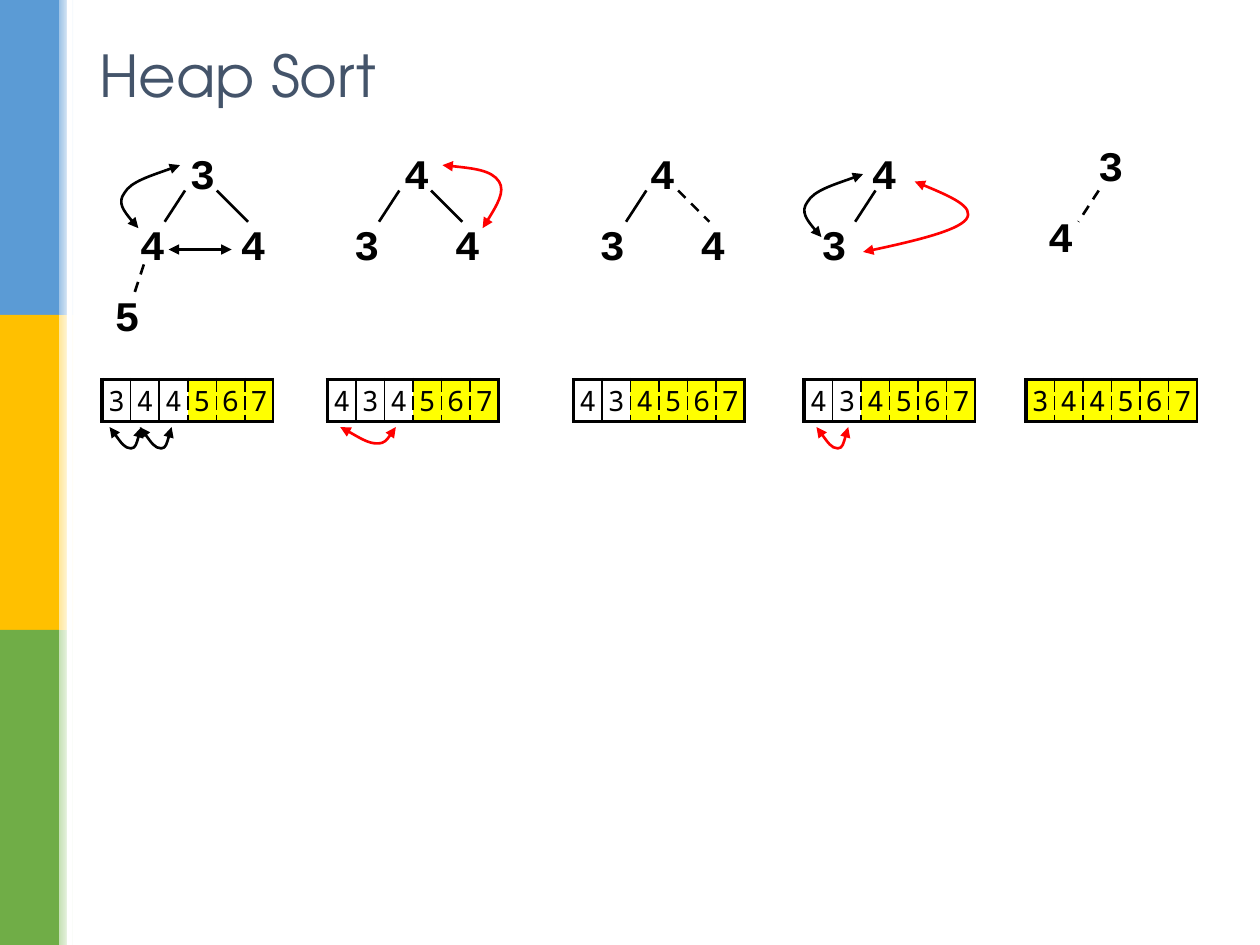
from lxml import etree
from pptx import Presentation
from pptx.dml import color as dml_color
from pptx.enum import dml, shapes, text
from pptx.oxml import ns
from pptx.util import Cm, Pt


def paint(fill, hex_color):
    fill.solid()
    fill.fore_color.rgb = dml_color.RGBColor.from_string(hex_color)


def write(para, words, font, size, color="000000", bold=False, before=0, align=None, tabs=()):
    span = para.add_run()
    span.text = words
    span.font.name, span.font.size, span.font.bold = font, Pt(size), bold
    paint(span.font.fill, color)
    para.alignment = align
    props = para._p.get_or_add_pPr()
    spacing = etree.SubElement(props, ns.qn("a:spcBef"))
    etree.SubElement(spacing, ns.qn("a:spcPct"), val=str(before * 1000))
    if tabs:
        stops = etree.SubElement(props, ns.qn("a:tabLst"))
        for stop in tabs:
            etree.SubElement(stops, ns.qn("a:tab"), pos=str(Cm(stop)), algn="l")


BLACK, RED, YELLOW = "000000", "FF0000", "FFFF00"

deck = Presentation()
deck.slide_width, deck.slide_height = Cm(25.4), Cm(19.05)
page = deck.slides.add_slide(deck.slide_layouts[5])

# Side bands, each with a fading edge, and a white strip over the fade
bands = []
for row, (solid, pale) in enumerate([("5B9BD5", "9DC3E6"), ("FFC000", "FFE699"), ("70AD47", "C5E0B4")]):
    bands.append((0, row * 6.35, 1.19, 6.35, solid, None))
    bands.append((1.19, row * 6.35, 0.3, 6.35, pale, "FFFFFF"))
bands.append((1.35, 0, 0.1, 19.05, "FFFFFF", None))
for left, top, width, height, color, fade in bands:
    band = page.shapes.add_shape(shapes.MSO_SHAPE.RECTANGLE, Cm(left), Cm(top), Cm(width), Cm(height))
    band.shadow.inherit = False
    band.line.fill.background()
    if fade:
        band.fill.gradient()
        band.fill.gradient_angle = 0
        for stop, place, shade in zip(band.fill.gradient_stops, (0, 1), (color, fade)):
            stop.position = place
            stop.color.rgb = dml_color.RGBColor.from_string(shade)
    else:
        paint(band.fill, color)

# Title
title = page.shapes.title
title.left, title.top, title.width, title.height = Cm(1.75), Cm(0.61), Cm(21.89), Cm(1.8)
title.text_frame.vertical_anchor = text.MSO_ANCHOR.MIDDLE
write(title.text_frame.paragraphs[0], "Heap Sort", "TeX Gyre Adventor", 33, "44546A",
      align=text.PP_ALIGN.LEFT)

# Steps: tree left, tree top, tree levels, array left, array values, unsorted count
steps = [
    (2.06, 2.84, ["\t3", "\t4\t4", "5"], 2.06, "344567", 3),
    (6.38, 2.84, ["\t4", "\t3\t4"], 6.6, "434567", 3),
    (11.33, 2.84, ["\t4", "\t3\t4"], 11.56, "434567", 2),
    (15.8, 2.84, ["\t4", "\t3"], 16.21, "434567", 2),
    (20.37, 2.69, ["\t3", "\t4"], 20.68, "344567", 0),
]
level_tabs = [(1.52,), (0.51, 2.54), ()]
for tree_left, tree_top, levels, array_left, values, unsorted in steps:
    # Heap nodes
    box = page.shapes.add_textbox(Cm(tree_left), Cm(tree_top), Cm(3.61), Cm(4.32))
    frame = box.text_frame
    frame.word_wrap = True
    for index, nodes in enumerate(levels):
        para = frame.add_paragraph() if index else frame.paragraphs[0]
        write(para, nodes, "Courier New", 24, bold=True, before=50, tabs=level_tabs[index])

    # Array, with the sorted part highlighted
    count = len(values)
    table = page.shapes.add_table(1, count, Cm(array_left), Cm(7.65), Cm(3.45), Cm(0.85)).table
    table.first_row = table.horz_banding = False
    inner = [(1, "solid" if edge < unsorted else "sysDash") for edge in range(1, count)]
    edges = [(2.25, "solid"), *inner, (1.5, "solid")]
    for index, value in enumerate(values):
        cell = table.cell(0, index)
        cell.vertical_anchor = text.MSO_ANCHOR.MIDDLE
        cell.margin_left = cell.margin_right = cell.margin_top = cell.margin_bottom = Cm(0.03)
        write(cell.text_frame.paragraphs[0], value, "Noto Sans Mono", 16, before=20,
              align=text.PP_ALIGN.CENTER)
        sides = {"L": edges[index], "R": edges[index + 1], "T": (2.25, "solid"), "B": (2.25, "solid")}
        for side, (width, dash) in sides.items():
            border = etree.SubElement(cell._tc.get_or_add_tcPr(), ns.qn(f"a:ln{side}"), w=str(Pt(width)))
            ink = etree.SubElement(border, ns.qn("a:solidFill"))
            etree.SubElement(ink, ns.qn("a:srgbClr"), val=BLACK)
            etree.SubElement(border, ns.qn("a:prstDash"), val=dash)
        if index < unsorted:
            cell.fill.background()
        else:
            paint(cell.fill, YELLOW)

# Strokes: start, offsets from it, colour, dashed, arrowheads
LEFT_EDGE, RIGHT_EDGE = [(-0.41, 0.63)], [(0.63, 0.63)]
strokes = [((x, 3.84), LEFT_EDGE, BLACK, dashed, False)
           for x, dashed in [(3.73, False), (8.05, False), (13.03, False), (17.65, False), (22.15, True)]]
strokes += [((x, 3.84), RIGHT_EDGE, BLACK, dashed, False)
            for x, dashed in [(4.37, False), (8.69, False), (13.67, True)]]
strokes += [
    ((2.9, 5.33), [(-0.21, 0.64)], BLACK, True, False),
    ((3.4, 5.03), [(1.27, 0)], BLACK, False, True),
]

# Curved swaps, as Bezier control points
parent_child = [(-0.48, 0.18), (-0.99, 0.33), (-1.12, 0.56), (-1.27, 0.76), (-1.07, 1.02), (-0.84, 1.27)]
next_cell = [(0.15, 0.2), (0.3, 0.43), (0.43, 0.43), (0.53, 0.43), (0.58, 0.2), (0.64, 0)]
far_cell = [(0.28, 0.15), (0.56, 0.33), (0.74, 0.33), (0.91, 0.33), (1.02, 0.15), (1.12, 0)]
root_right = [(0.51, 0.05), (0.99, 0.1), (1.14, 0.33), (1.27, 0.53), (1.04, 0.91), (0.81, 1.27)]
root_left = [(0.61, 0.25), (1.22, 0.51), (1.04, 0.76), (0.86, 0.99), (-0.08, 1.22), (-1.04, 1.42)]
strokes += [(start, curve, color, False, True) for start, curve, color in [
    ((3.63, 3.33), parent_child, BLACK),
    ((17.4, 3.51), parent_child, BLACK),
    ((2.21, 8.61), next_cell, BLACK),
    ((2.82, 8.61), next_cell, BLACK),
    ((16.46, 8.61), next_cell, RED),
    ((6.86, 8.61), far_cell, RED),
    ((8.92, 3.33), root_right, RED),
    ((18.44, 3.66), root_left, RED),
]]

for (x, y), offsets, color, dashed, arrows in strokes:
    points = [(Cm(x + dx), Cm(y + dy)) for dx, dy in offsets]
    if len(points) == 1:
        stroke = page.shapes.add_connector(shapes.MSO_CONNECTOR.STRAIGHT, Cm(x), Cm(y), *points[0])
    else:
        builder = page.shapes.build_freeform(Cm(x), Cm(y))
        builder.add_line_segments(points, close=False)
        stroke = builder.convert_to_shape()
        stroke.fill.background()
        # Every three segments become one Bezier curve
        segments = stroke._element.xpath(".//a:lnTo")
        outline = segments[0].getparent()
        for first in range(0, len(segments), 3):
            bezier = etree.SubElement(outline, ns.qn("a:cubicBezTo"))
            for segment in segments[first:first + 3]:
                bezier.append(segment[0])
                outline.remove(segment)
    paint(stroke.line.fill, color)
    stroke.line.width = Pt(1.5)
    if dashed:
        stroke.line.dash_style = dml.MSO_LINE.DASH
    if arrows:
        for end in ("a:headEnd", "a:tailEnd"):
            etree.SubElement(stroke.get_or_add_ln(), ns.qn(end), type="triangle")
    etree.SubElement(stroke._element.spPr, ns.qn("a:effectLst"))

deck.save("out.pptx")
